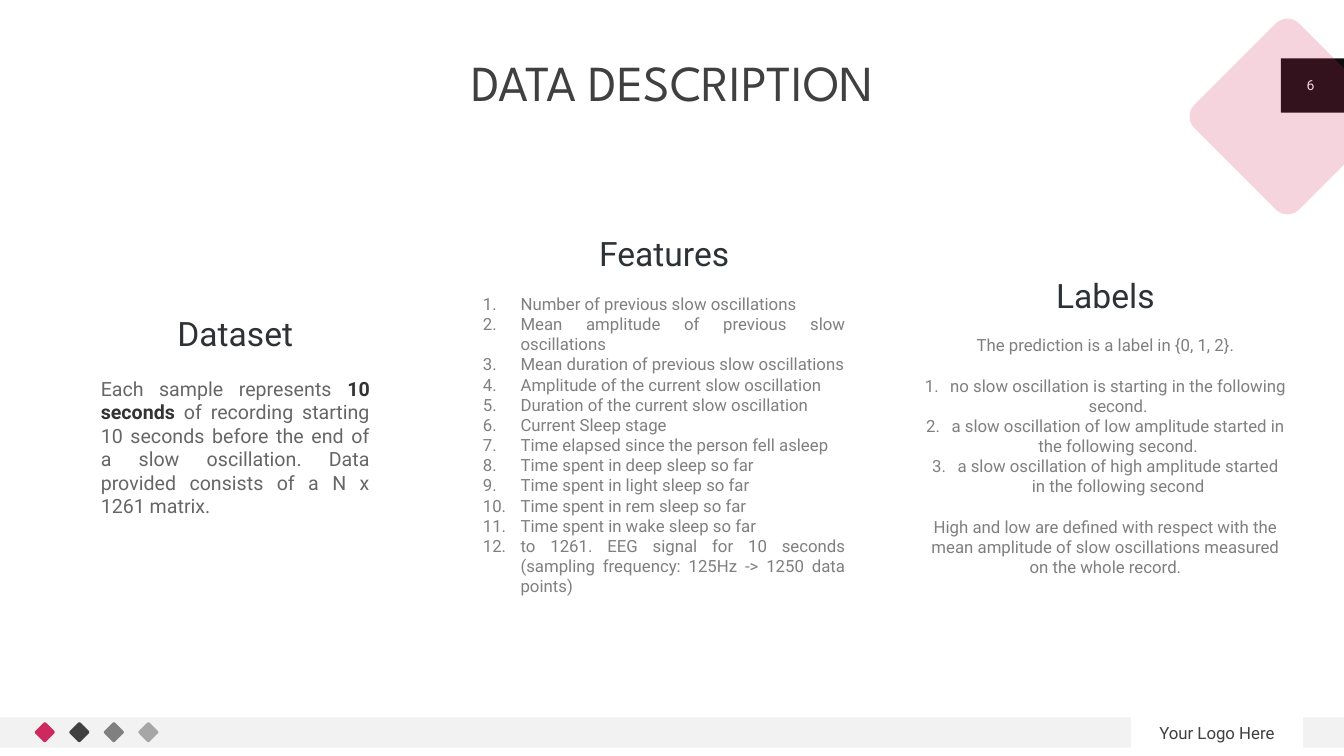
"""Build the data description slide."""
from dataclasses import dataclass
from typing import Any

from lxml.etree import SubElement
from pptx import Presentation
from pptx.dml.color import RGBColor
from pptx.enum.shapes import MSO_SHAPE
from pptx.enum.text import MSO_ANCHOR, MSO_AUTO_SIZE, PP_ALIGN
from pptx.oxml.ns import qn
from pptx.util import Cm, Pt

WHITE = RGBColor(0xFF, 0xFF, 0xFF)
PALE = RGBColor(0xF2, 0xF2, 0xF2)
BLACK = RGBColor(0x0D, 0x0D, 0x0D)
PINK = RGBColor(0xCE, 0x29, 0x5E)
DARK = RGBColor(0x40, 0x40, 0x40)
GRAY = RGBColor(0x80, 0x80, 0x80)
SILVER = RGBColor(0xA6, 0xA6, 0xA6)
INK = RGBColor(0x2D, 0x32, 0x37)
BODY = RGBColor(0x66, 0x66, 0x66)
STRONG = RGBColor(0x33, 0x33, 0x33)
LIST = RGBColor(0x7F, 0x7F, 0x7F)

LEFT, MID, FULL = PP_ALIGN.LEFT, PP_ALIGN.CENTER, PP_ALIGN.JUSTIFY
BARE = {"margin_left": 0, "margin_top": 0, "margin_right": 0, "margin_bottom": 0}
FRAME = {"word_wrap": True, "vertical_anchor": MSO_ANCHOR.MIDDLE}
GROW = {"auto_size": MSO_AUTO_SIZE.SHAPE_TO_FIT_TEXT}


@dataclass
class Box:
    """Place and size in centimetres."""
    left: float
    top: float
    width: float
    height: float

    def spot(self) -> tuple:
        """Return the four lengths."""
        return Cm(self.left), Cm(self.top), Cm(self.width), Cm(self.height)


@dataclass
class Run:
    """Text with one look."""
    text: str
    size: float
    color: RGBColor
    bold: bool = False
    name: str = "Roboto"


@dataclass
class Para:
    """Paragraph of runs, numbered when an indent is given."""
    runs: list[Run]
    align: Any = MID
    after: float = 0
    indent: float = 0


@dataclass
class Column:
    """Box with a heading and its paragraphs."""
    box: Box
    head: str
    gap: float
    paras: list[Para]


def apply(item: Any, values: dict) -> None:
    """Set each named attribute."""
    for key, value in values.items():
        setattr(item, key, value)


def write(frame: Any, paras: list[Para], look: dict) -> None:
    """Fill a text frame."""
    apply(frame, look)
    for pos, para in enumerate(paras):
        line = frame.add_paragraph() if pos else frame.paragraphs[0]
        apply(line, {"alignment": para.align, "space_before": Pt(0),
                     "space_after": Pt(para.after)})
        if para.indent:
            props = line._p.get_or_add_pPr()
            props.set("marL", str(Cm(para.indent)))
            props.set("indent", str(-Cm(para.indent)))
            SubElement(props, qn("a:buFont"), typeface="+mj-lt")
            SubElement(props, qn("a:buAutoNum"), type="arabicPeriod")
        for part in para.runs:
            run = line.add_run()
            run.text = part.text
            apply(run.font, {"size": Pt(part.size), "bold": part.bold, "name": part.name})
            run.font.color.rgb = part.color


def draw(slide: Any, box: Box, color: RGBColor, kind: Any = MSO_SHAPE.RECTANGLE) -> Any:
    """Add a plain filled shape."""
    shape = slide.shapes.add_shape(kind, *box.spot())
    shape.shadow.inherit = False
    shape.fill.solid()
    shape.fill.fore_color.rgb = color
    shape.line.fill.background()
    return shape


def gem(slide: Any, box: Box, color: RGBColor) -> Any:
    """Add a rounded square on its corner."""
    shape = draw(slide, box, color, MSO_SHAPE.ROUNDED_RECTANGLE)
    shape.adjustments[0] = 0.11
    shape.rotation = 315
    return shape


def label(slide: Any, box: Box, run: Run, look: dict) -> None:
    """Add a centred text box."""
    write(slide.shapes.add_textbox(*box.spot()).text_frame, [Para([run])], FRAME | look)


def note(text: str, after: float = 0, indent: float = 0, align: Any = MID) -> Para:
    """Make a small gray paragraph."""
    return Para([Run(text, 12, LIST)], align, after, indent)


FEATURES = [
    "Number of previous slow oscillations",
    "Mean amplitude of previous slow oscillations",
    "Mean duration of previous slow oscillations",
    "Amplitude of the current slow oscillation",
    "Duration of the current slow oscillation",
    "Current Sleep stage",
    "Time elapsed since the person fell asleep",
    "Time spent in deep sleep so far",
    "Time spent in light sleep so far",
    "Time spent in rem sleep so far",
    "Time spent in wake sleep so far",
    "to 1261. EEG signal for 10 seconds (sampling frequency: 125Hz -> 1250 data points)",
]
COLUMNS = [
    Column(Box(2.54, 8.15, 6.78, 4.62), "Dataset", 16.8, [Para([
        Run("Each sample represents ", 14, BODY),
        Run("10 seconds", 14, STRONG, True),
        Run(" of recording starting 10 seconds before the end of a slow oscillation. "
            "Data provided consists of a N x 1261 matrix.", 14, BODY)], FULL)]),
    Column(Box(12.17, 6.35, 9.14, 8.2), "Features", 14.4,
           [note(text, indent=0.95, align=FULL) for text in FEATURES]),
    Column(Box(23.29, 6.88, 9.14, 7.7), "Labels", 14.4, [
        note("The prediction is a label in {0, 1, 2}.", 14.4),
        note("no slow oscillation is starting in the following second.", indent=0.64),
        note("a slow oscillation of low amplitude started in the following second.",
             indent=0.64),
        note("a slow oscillation of high amplitude started in the following second",
             14.4, 0.64),
        note("High and low are defined with respect with the mean amplitude of slow "
             "oscillations measured on the whole record.")]),
]
BLOCKS = [
    (Box(0, 18.08, 28.5, 0.76), PALE),
    (Box(32.28, 1.47, 1.59, 1.37), BLACK),
    (Box(32.84, 18.08, 1.03, 0.76), PALE),
]


def main() -> None:
    """Build and save the slide."""
    deck = Presentation()
    apply(deck, {"slide_width": Cm(33.87), "slide_height": Cm(19.05)})
    slide = deck.slides.add_slide(deck.slide_layouts[5])
    for box, color in BLOCKS:
        draw(slide, box, color)
    for pos, color in enumerate((PINK, DARK, GRAY, SILVER)):
        gem(slide, Box(0.94 + 0.87 * pos, 18.26, 0.38, 0.38), color)

    title = slide.shapes.title
    apply(title, dict(zip(("left", "top", "width", "height"),
                          Box(2.34, 1.47, 29.21, 1.4).spot())))
    write(title.text_frame,
          [Para([Run("DATA DESCRIPTION", 36, DARK, name="League Spartan")])],
          FRAME | BARE | GROW | {"vertical_anchor": MSO_ANCHOR.TOP})
    title.text_frame.paragraphs[0].line_spacing = 0.9

    label(slide, Box(28.5, 18.08, 4.34, 0.76), Run("Your Logo Here", 12, DARK), GROW)
    label(slide, Box(32.44, 1.63, 1.17, 1.02), Run("6", 10, WHITE), {})
    for col in COLUMNS:
        head = Para([Run(col.head, 24, INK)], after=col.gap)
        write(draw(slide, col.box, WHITE).text_frame, [head, *col.paras],
              FRAME | BARE | GROW)

    veil = gem(slide, Box(30.58, 1.07, 3.73, 3.73), PINK)
    tint = veil.fill._xPr.find(qn("a:solidFill"))[0]
    SubElement(tint, qn("a:alpha"), val="20000")
    deck.save("out.pptx")


if __name__ == "__main__":
    main()
